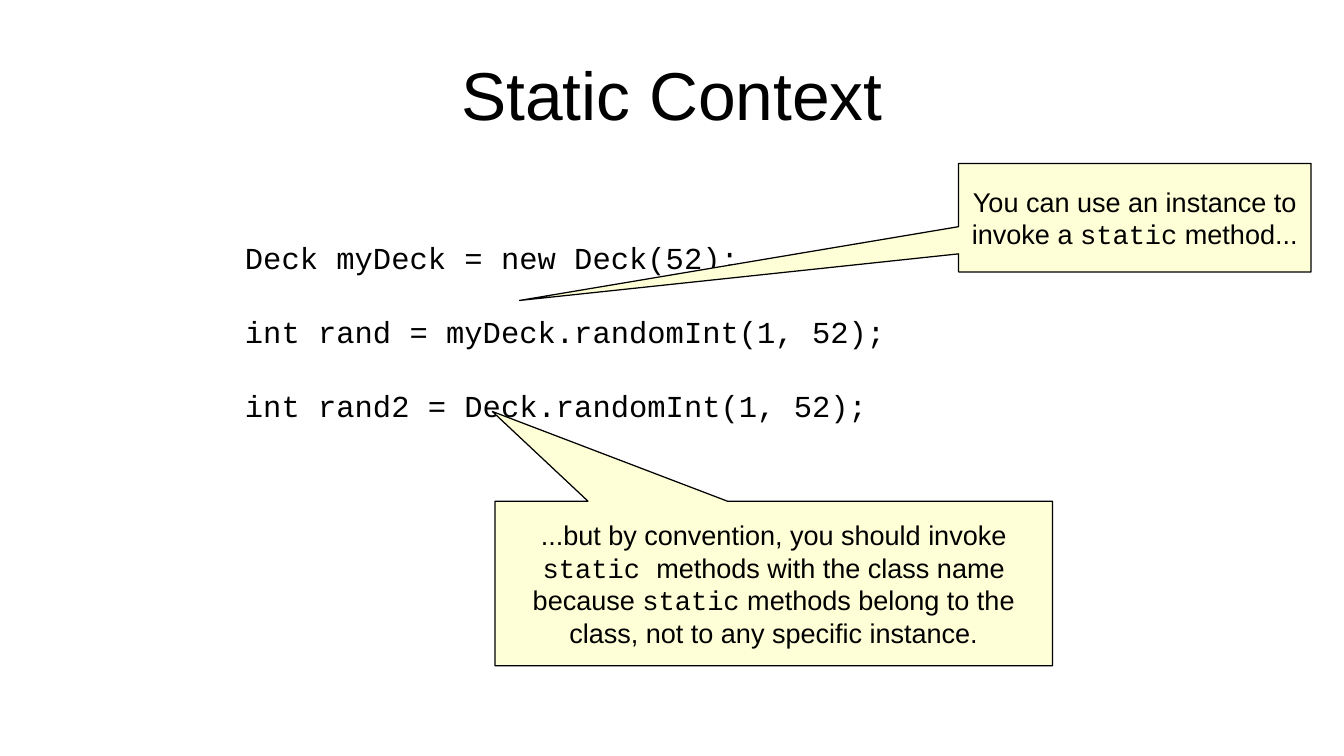
from pptx import Presentation
from pptx.dml.color import RGBColor
from pptx.enum.shapes import MSO_SHAPE
from pptx.enum.text import MSO_ANCHOR, PP_ALIGN
from pptx.util import Inches, Pt

BLACK = RGBColor(0x00, 0x00, 0x00)
PALE_YELLOW = RGBColor(0xFF, 0xFF, 0xD7)
PROSE, CODE = "Arial", "Courier New"

HEADING = "Static Context"
STATEMENTS = [
    "Deck myDeck = new Deck(52);",
    "int rand = myDeck.randomInt(1, 52);",
    "int rand2 = Deck.randomInt(1, 52);",
]
REMARKS = [
    {
        "place": (7.86, 1.34, 2.89, 0.89),
        "tip": (-1.746, 0.763),
        "lines": [
            [("You can use an instance to", PROSE)],
            [("invoke a ", PROSE), ("static", CODE), (" method...", PROSE)],
        ],
    },
    {
        "place": (4.06, 4.11, 4.57, 1.35),
        "tip": (-0.505, -1.045),
        "lines": [
            [("...but by convention, you should invoke", PROSE)],
            [("static ", CODE), ("methods with the class name", PROSE)],
            [("because ", PROSE), ("static", CODE), (" methods belong to the", PROSE)],
            [("class, not to any specific instance.", PROSE)],
        ],
    },
]

HEADING_FRAME = {
    "margin_left": 0, "margin_top": 0, "margin_right": 0, "margin_bottom": 0,
    "vertical_anchor": MSO_ANCHOR.MIDDLE, "word_wrap": True,
}
REMARK_FRAME = {"vertical_anchor": MSO_ANCHOR.MIDDLE, "word_wrap": False}


def apply(target, values):
    for name, value in values.items():
        setattr(target, name, value)


def write(frame, lines, size, align, gap=0):
    for index, pieces in enumerate(lines):
        paragraph = frame.paragraphs[0] if index == 0 else frame.add_paragraph()
        apply(paragraph, {"alignment": align, "space_before": Pt(gap if index else 0)})
        for words, face in pieces:
            run = paragraph.add_run()
            run.text = words
            apply(run.font, {"name": face, "size": Pt(size)})
            run.font.color.rgb = BLACK


def inches(*lengths):
    return [Inches(length) for length in lengths]


deck = Presentation()
apply(deck, {"slide_width": Inches(11.02), "slide_height": Inches(6.2)})
slide = deck.slides.add_slide(deck.slide_layouts[5])

heading = slide.shapes.title
apply(heading, dict(zip(("left", "top", "width", "height"), inches(0.55, 0.25, 9.92, 1.04))))
apply(heading.text_frame, HEADING_FRAME)
write(heading.text_frame, [[(HEADING, PROSE)]], 40, PP_ALIGN.CENTER)

statements = slide.shapes.add_textbox(*inches(1.91, 1.91, 5.45, 1.52))
statements.text_frame.word_wrap = True
write(statements.text_frame, [[(line, CODE)] for line in STATEMENTS], 18, PP_ALIGN.LEFT, gap=22)

for remark in REMARKS:
    callout = slide.shapes.add_shape(MSO_SHAPE.RECTANGULAR_CALLOUT, *inches(*remark["place"]))
    callout.adjustments[0], callout.adjustments[1] = remark["tip"]
    callout.shadow.inherit = False
    callout.fill.solid()
    callout.fill.fore_color.rgb = PALE_YELLOW
    callout.line.color.rgb = BLACK
    callout.line.width = Pt(0)
    apply(callout.text_frame, REMARK_FRAME)
    write(callout.text_frame, remark["lines"], 16, PP_ALIGN.CENTER)

deck.save("out.pptx")
